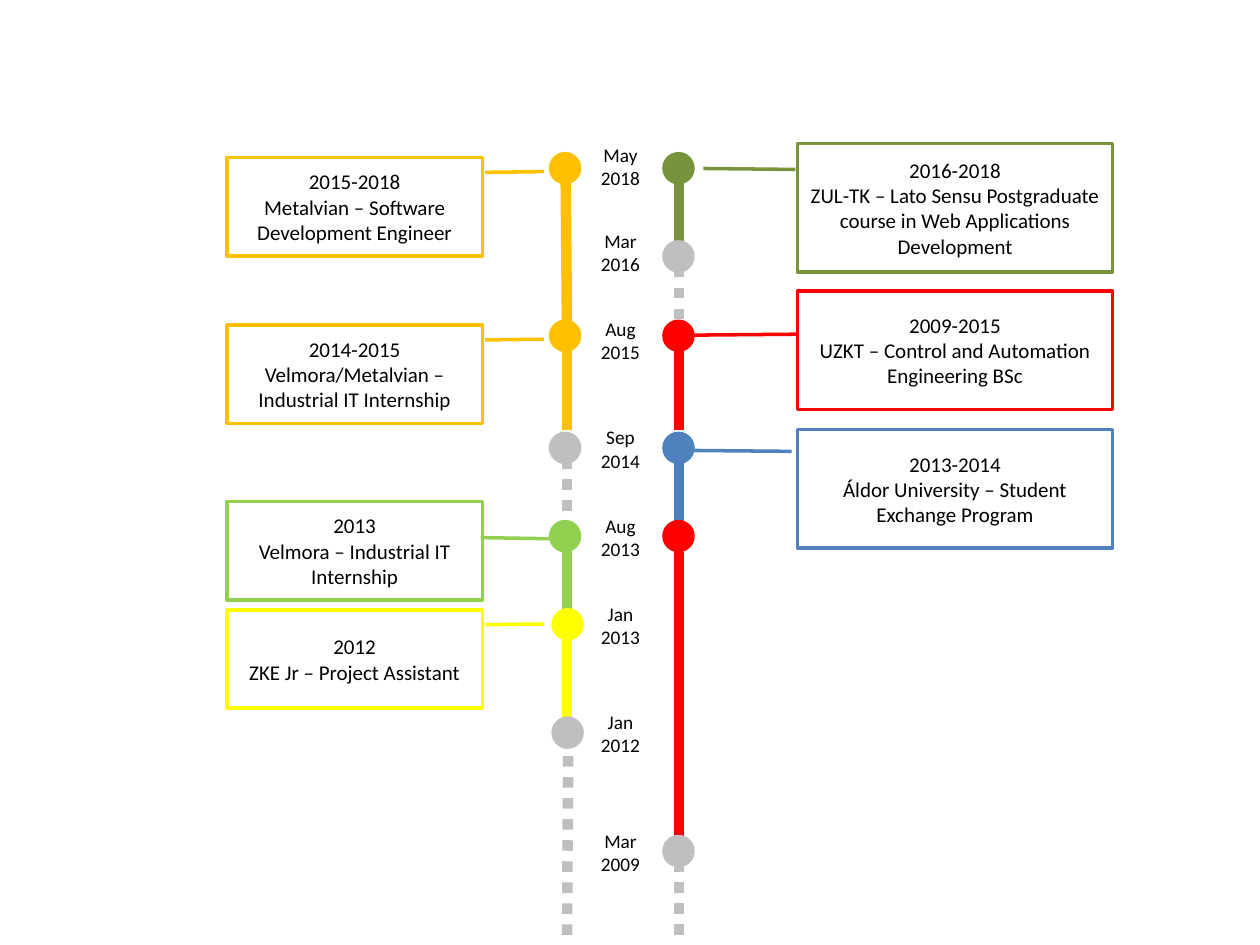
from lxml.etree import SubElement
from pptx import Presentation
from pptx.dml.color import RGBColor
from pptx.enum.dml import MSO_LINE
from pptx.enum.shapes import MSO_CONNECTOR, MSO_SHAPE
from pptx.enum.text import MSO_ANCHOR, MSO_AUTO_SIZE, PP_ALIGN
from pptx.oxml.ns import qn
from pptx.util import Inches, Pt

COLUMNS, ROWS = 100, 75
SLIDE_WIDTH, SLIDE_HEIGHT = Inches(10), Inches(7.5)

BLACK = RGBColor(0x00, 0x00, 0x00)
GREY = RGBColor(0xBF, 0xBF, 0xBF)
RED = RGBColor(0xFF, 0x00, 0x00)
BLUE = RGBColor(0x4F, 0x81, 0xBD)
LINE_BLUE = RGBColor(0x4B, 0x7E, 0xBC)
OLIVE = RGBColor(0x77, 0x93, 0x3C)
ORANGE = RGBColor(0xFF, 0xC0, 0x00)
LIME = RGBColor(0x92, 0xD0, 0x50)
YELLOW = RGBColor(0xFF, 0xFF, 0x00)

WORK, STUDY = 45, 53.9
DOT_SIZE = 2.3
WORK_DOT, LOW_WORK_DOT, STUDY_DOT = 43.7, 43.9, 52.7
LABEL_LEFT, LABEL_WIDTH, LABEL_HEIGHT = 46.1, 6.3, 4.7
JOB_LEFT, JOB_WIDTH, JOB_HEIGHT = 18, 20.3, 7.8
COURSE_LEFT, COURSE_WIDTH = 63.3, 25
JOB_LEADER = (0.151, 1.009, 0.144, 1.24)

SOLID_PERIODS = [
    (STUDY, 34.1, STUDY, 27, RED),
    (STUDY, 43, STUDY, 35.9, LINE_BLUE),
    (STUDY, 20.8, STUDY, 13.8, OLIVE),
    (STUDY, 67.2, STUDY, 43.8, RED),
    (WORK, 34.1, WORK, 27, ORANGE),
    (WORK, 26.3, 44.9, 14.5, ORANGE),
    (WORK, 50, WORK, 43, LIME),
    (WORK, 57, WORK, 50, YELLOW),
]
DOTTED_PERIODS = [
    (WORK, 42.2, WORK, 35.2),
    (STUDY, 27, STUDY, 20),
    (WORK, 74.2, 45.1, 59.4),
    (STUDY, 74.2, STUDY, 67.2),
]
DOTS = [
    (STUDY_DOT, 66.4, GREY),
    (STUDY_DOT, 41.4, RED),
    (STUDY_DOT, 34.4, BLUE),
    (STUDY_DOT, 25.5, RED),
    (STUDY_DOT, 19.2, GREY),
    (STUDY_DOT, 12.2, OLIVE),
    (LOW_WORK_DOT, 57, GREY),
    (LOW_WORK_DOT, 48.4, YELLOW),
    (WORK_DOT, 41.4, LIME),
    (WORK_DOT, 34.4, GREY),
    (WORK_DOT, 25.5, ORANGE),
    (WORK_DOT, 12.2, ORANGE),
]
DATES = [
    (65.3, "Mar", "2009"),
    (55.9, "Jan", "2012"),
    (47.3, "Jan", "2013"),
    (40.3, "Aug", "2013"),
    (33.3, "Sep", "2014"),
    (24.7, "Aug", "2015"),
    (17.7, "Mar", "2016"),
    (10.9, "May", "2018"),
]
COURSES = [
    (11.4, 10.2, OLIVE, (0.201, -0.007, 0.193, -0.299), "2016-2018",
     "ZUL-TK – Lato Sensu Postgraduate course in Web Applications Development"),
    (23.1, 9.4, RED, (0.365, -0.001, 0.373, -0.336), "2009-2015",
     "UZKT – Control and Automation Engineering BSc"),
    (34.1, 9.4, BLUE, (0.184, -0.019, 0.176, -0.342), "2013-2014",
     "Áldor University – Student Exchange Program"),
]
JOBS = [
    (48.4, YELLOW, JOB_LEADER, "2012", "ZKE Jr – Project Assistant"),
    (39.8, LIME, (0.368, 0.993, 0.38, 1.277), "2013",
     "Velmora – Industrial IT Internship"),
    (25.8, ORANGE, JOB_LEADER, "2014-2015",
     "Velmora/Metalvian – Industrial IT Internship"),
    (12.5, ORANGE, JOB_LEADER, "2015-2018",
     "Metalvian – Software Development Engineer"),
]


def across(columns):
    """Return the length of a number of grid columns."""
    return round(SLIDE_WIDTH * columns / COLUMNS)


def down(rows):
    """Return the length of a number of grid rows."""
    return round(SLIDE_HEIGHT * rows / ROWS)


def box(left, top, width, height):
    """Turn a grid rectangle into slide lengths."""
    return across(left), down(top), across(width), down(height)


def write(shape, *lines, size, anchor=MSO_ANCHOR.TOP, grow=False):
    """Write centred lines of text, one paragraph each, into a shape."""
    frame = shape.text_frame
    frame.word_wrap = True
    frame.vertical_anchor = anchor
    if grow:
        frame.auto_size = MSO_AUTO_SIZE.SHAPE_TO_FIT_TEXT
    frame.text = "\n".join(lines)
    for paragraph in frame.paragraphs:
        paragraph.alignment = PP_ALIGN.CENTER
        for run in paragraph.runs:
            run.font.name = "Calibri"
            run.font.size = Pt(size)
            run.font.color.rgb = BLACK


def add_period(slide, start_x, start_y, end_x, end_y, color, dash=None):
    """Draw one thick stretch of a timeline."""
    line = slide.shapes.add_connector(
        MSO_CONNECTOR.STRAIGHT, across(start_x), down(start_y), across(end_x), down(end_y))
    line.line.color.rgb = color
    line.line.width = Pt(6)
    if dash:
        line.line.dash_style = dash
    SubElement(line._element.spPr, qn("a:effectLst"))


def add_outlined(slide, kind, area, color):
    """Add a preset shape with a coloured outline and no shadow."""
    shape = slide.shapes.add_shape(kind, *box(*area))
    shape.shadow.inherit = False
    shape.line.color.rgb = color
    shape.line.width = Pt(2)
    return shape


def add_dot(slide, left, top, color):
    """Add a milestone dot."""
    dot = add_outlined(slide, MSO_SHAPE.OVAL, (left, top, DOT_SIZE, DOT_SIZE), color)
    dot.fill.solid()
    dot.fill.fore_color.rgb = color


def add_date(slide, top, month, year):
    """Add a date between the two timelines."""
    label = slide.shapes.add_textbox(*box(LABEL_LEFT, top, LABEL_WIDTH, LABEL_HEIGHT))
    write(label, month, year, size=11, grow=True)


def add_callout(slide, area, color, leader, years, description):
    """Add a framed entry with its leader line."""
    callout = add_outlined(slide, MSO_SHAPE.LINE_CALLOUT_1, area, color)
    callout.fill.background()
    for index, value in enumerate(leader):
        callout.adjustments[index] = value
    write(callout, years, description, size=12, anchor=MSO_ANCHOR.MIDDLE)


def main():
    """Build the timeline slide and save it."""
    presentation = Presentation()
    presentation.slide_width, presentation.slide_height = SLIDE_WIDTH, SLIDE_HEIGHT
    slide = presentation.slides.add_slide(presentation.slide_layouts[6])
    for period in DOTTED_PERIODS:
        add_period(slide, *period, GREY, dash=MSO_LINE.ROUND_DOT)
    for period in SOLID_PERIODS:
        add_period(slide, *period)
    for dot in DOTS:
        add_dot(slide, *dot)
    for top, height, *entry in COURSES:
        add_callout(slide, (COURSE_LEFT, top, COURSE_WIDTH, height), *entry)
    for date in DATES:
        add_date(slide, *date)
    for top, *entry in JOBS:
        add_callout(slide, (JOB_LEFT, top, JOB_WIDTH, JOB_HEIGHT), *entry)
    presentation.save("out.pptx")


if __name__ == "__main__":
    main()
